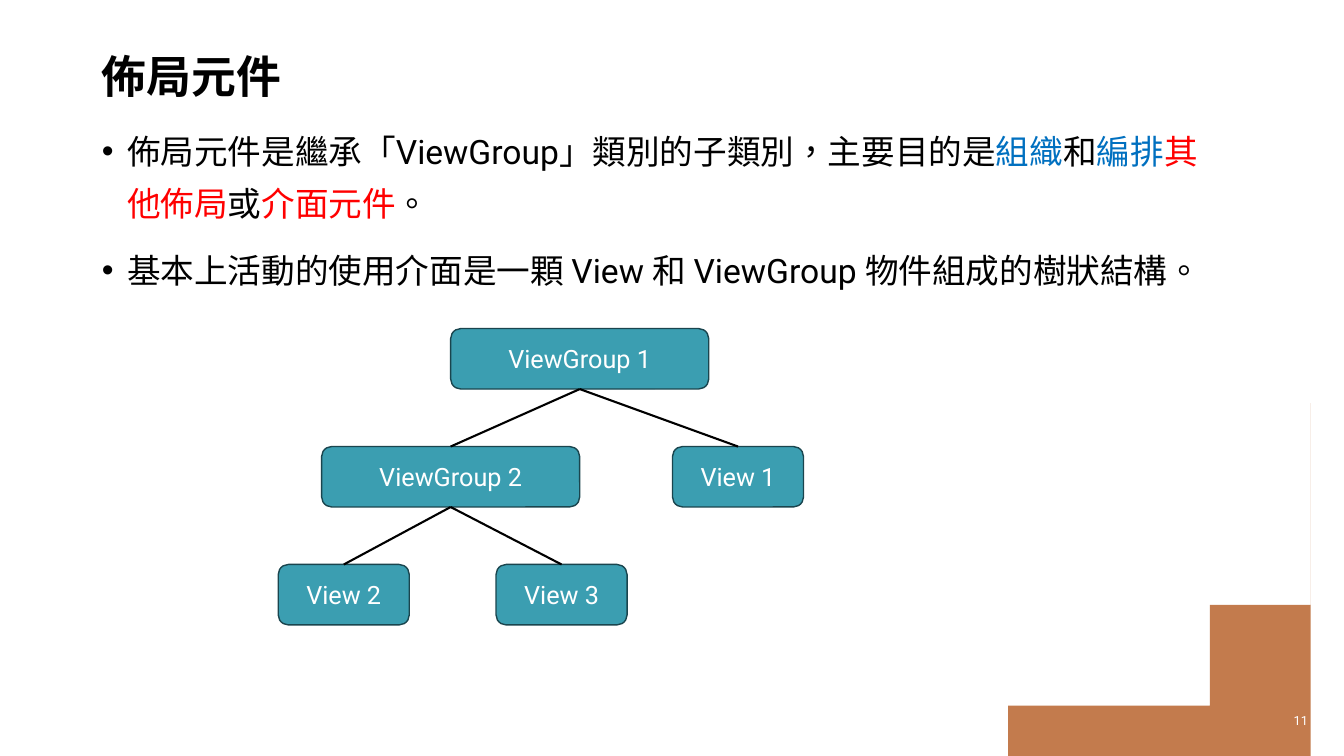
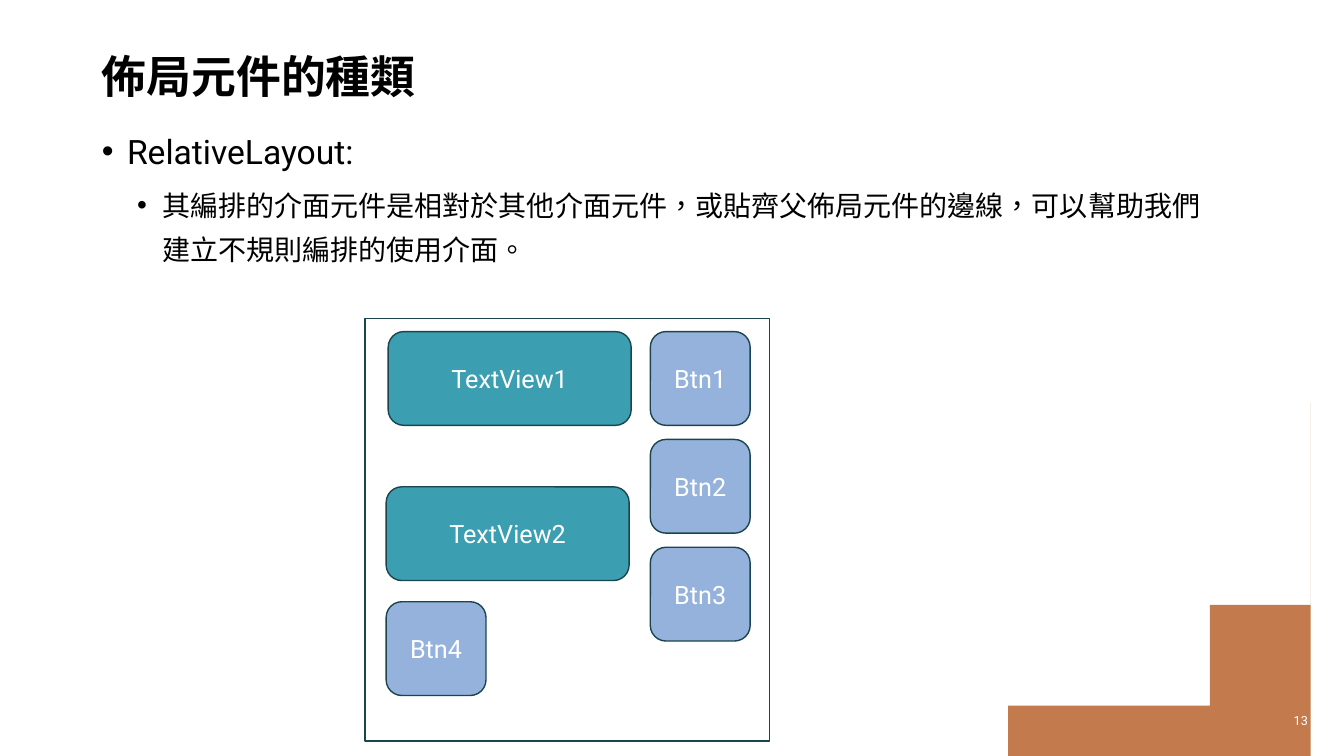
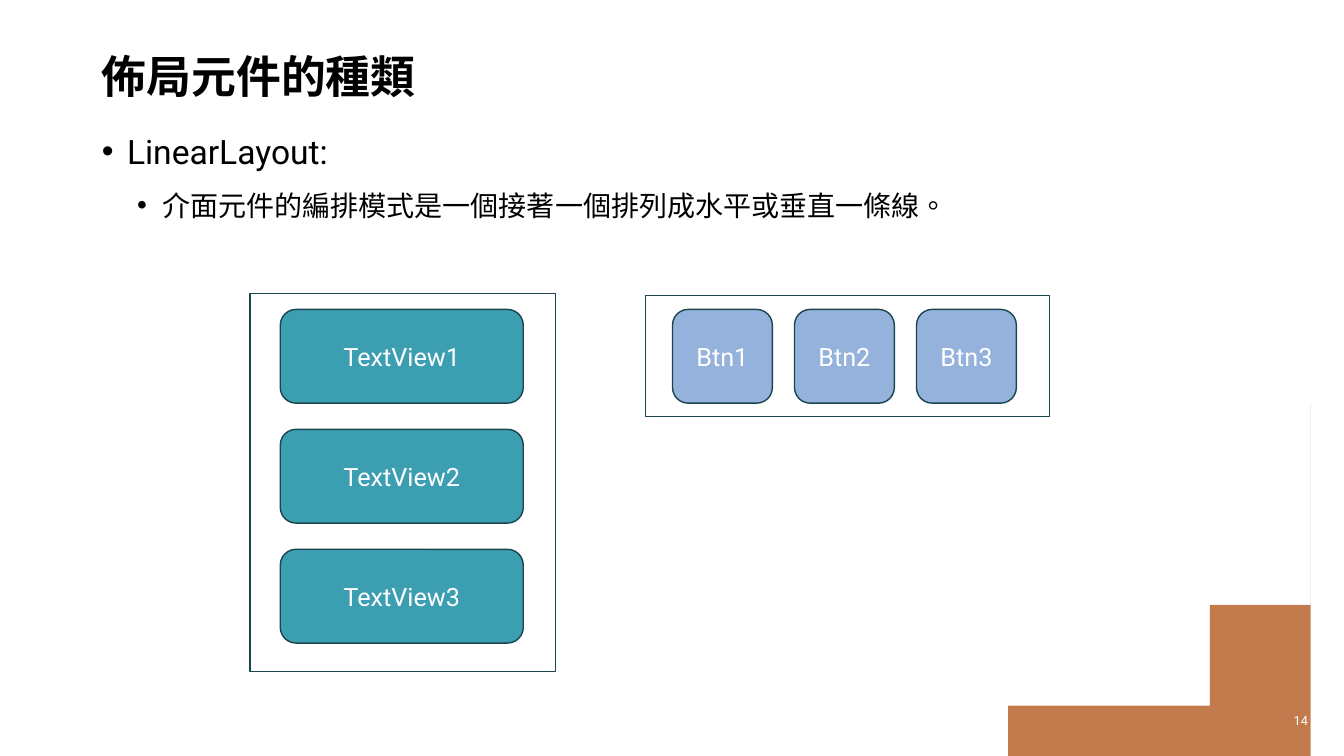
"""Build three slides on layout components."""
import pptx
import pptx.util
import pptx.dml.color
import pptx.enum.shapes
import pptx.enum.text
import pptx.enum.lang
import pptx.oxml.ns
import lxml.etree

WIDE, HIGH = 13.33, 7.5
FONT = "Roboto"
BLACK, WHITE, BLUE, RED = "000000", "FFFFFF", "0070C0", "FF0000"
TEAL, PALE, EDGE, CLAY = "3B9EB1", "94B2DB", "1A454E", "C37B4D"
CURVE = [(9.71, 7.5), (11.67, 7.41), (13.23, 5.87), (13.33, 3.96)]
LEVELS = [
    {"size": 24, "left": 0.25, "before": 10},
    {"size": 20, "left": 0.6, "before": 5},
]
VIEW, BTN, GROUP, LEAF = (2.41, 0.93), (0.99, 0.93), (2.56, 0.6), (1.3, 0.6)

TREE = [
    ("ViewGroup 1", GROUP, 5.75, 0, None),
    ("ViewGroup 2", GROUP, 4.47, 1, 0),
    ("View 1", LEAF, 7.32, 1, 0),
    ("View 2", LEAF, 3.41, 2, 1),
    ("View 3", LEAF, 5.57, 2, 1),
]
TREE_TOP, TREE_STEP = 3.26, 1.17

SLIDES = [
    {
        "title": "佈局元件",
        "number": "11",
        "body": [
            (0, [("佈局元件是繼承「ViewGroup」類別的子類別，主要目的是", BLACK),
                 ("組織", BLUE), ("和", BLACK), ("編排", BLUE),
                 ("其他佈局", RED), ("或", BLACK), ("介面元件", RED),
                 ("。", BLACK)]),
            (0, [("基本上活動的使用介面是一顆 View 和 ViewGroup 物件組成的樹狀結構。", BLACK)]),
        ],
        "tree": TREE,
    },
    {
        "title": "佈局元件的種類",
        "number": "13",
        "body": [
            (0, [("RelativeLayout:", BLACK)]),
            (1, [("其編排的介面元件是相對於其他介面元件，或貼齊父佈局元件的邊線，可以幫助我們建立不規則編排的使用介面。", BLACK)]),
        ],
        "frames": [(3.62, 3.16, 4.01, 4.19)],
        "stacks": [
            (["TextView1"], VIEW, TEAL, (3.85, 3.29), (0, 0)),
            (["Btn1", "Btn2", "Btn3"], BTN, PALE, (6.45, 3.29), (0, 1.07)),
            (["Btn4"], BTN, PALE, (3.83, 5.97), (0, 0)),
            (["TextView2"], VIEW, TEAL, (3.83, 4.83), (0, 0)),
        ],
    },
    {
        "title": "佈局元件的種類",
        "number": "14",
        "body": [
            (0, [("LinearLayout:", BLACK)]),
            (1, [("介面元件的編排模式是一個接著一個排列成水平或垂直一條線。", BLACK)]),
        ],
        "frames": [(2.48, 2.91, 3.03, 3.75), (6.4, 2.93, 4.01, 1.2)],
        "stacks": [
            (["TextView1", "TextView2", "TextView3"], VIEW, TEAL, (2.78, 3.07), (0, 1.19)),
            (["Btn1", "Btn2", "Btn3"], BTN, PALE, (6.67, 3.07), (1.21, 0)),
        ],
    },
]

inch, pt = pptx.util.Inches, pptx.util.Pt
KIND = pptx.enum.shapes.MSO_SHAPE
ALIGN = pptx.enum.text.PP_ALIGN
ANCHOR = pptx.enum.text.MSO_ANCHOR


def shade(code):
    return pptx.dml.color.RGBColor.from_string(code)


def assign(thing, values):
    for name, value in values.items():
        setattr(thing, name, value)


def place(shape, *box):
    assign(shape, dict(zip(("left", "top", "width", "height"), map(inch, box))))


def write(par, text, size, color, bold=False):
    run = par.add_run()
    run.text = text
    assign(run.font, {"size": pt(size), "name": FONT, "bold": bold,
                      "language_id": pptx.enum.lang.MSO_LANGUAGE_ID.TRADITIONAL_CHINESE})
    run.font.color.rgb = shade(color)


def paint(shape, fill, edge=None):
    shape.shadow.inherit = False
    if fill:
        shape.fill.solid()
        shape.fill.fore_color.rgb = shade(fill)
    else:
        shape.fill.background()
    if edge:
        shape.line.color.rgb = shade(edge)
        shape.line.width = pt(1)
    else:
        shape.line.fill.background()


def corner(slide):
    arc = []
    for step in range(61):
        t = step / 60
        parts = ((1 - t) ** 3, 3 * t * (1 - t) ** 2, 3 * t * t * (1 - t), t ** 3)
        arc.append(tuple(sum(p * spot[axis] for p, spot in zip(parts, CURVE))
                         for axis in (0, 1)))
    pen = slide.shapes.build_freeform(WIDE, 3.78, scale=914400)
    pen.add_line_segments([(WIDE, HIGH), (9.63, HIGH)] + arc, close=True)
    paint(pen.convert_to_shape(), CLAY)


def head(slide, text):
    title = slide.shapes.title
    place(title, 0.91, 0.39, 11.32, 0.68)
    assign(title.text_frame, {"vertical_anchor": ANCHOR.BOTTOM,
                              "auto_size": pptx.enum.text.MSO_AUTO_SIZE.NONE})
    par = title.text_frame.paragraphs[0]
    assign(par, {"alignment": ALIGN.LEFT, "line_spacing": 1.1})
    write(par, text, 32, BLACK, True)


def fill_body(slide, items):
    body = slide.placeholders[1]
    place(body, 0.91, 1.13, 11.32, 5.24)
    frame = body.text_frame
    frame.auto_size = pptx.enum.text.MSO_AUTO_SIZE.NONE
    for index, (level, runs) in enumerate(items):
        par = frame.add_paragraph() if index else frame.paragraphs[0]
        style = LEVELS[level]
        assign(par, {"level": level, "line_spacing": 1.3,
                     "space_before": pt(style["before"]), "space_after": pt(0)})
        props = par._p.get_or_add_pPr()
        props.set("marL", str(inch(style["left"])))
        props.set("indent", str(inch(-0.25)))
        mark = lxml.etree.SubElement(props, pptx.oxml.ns.qn("a:buChar"))
        mark.set("char", "•")
        for text, color in runs:
            write(par, text, style["size"], color)


def page(slide, number):
    box = slide.shapes.add_textbox(*map(inch, (12.62, 6.95, 0.45, 0.4)))
    assign(box.text_frame, {"word_wrap": True, "vertical_anchor": ANCHOR.MIDDLE})
    par = box.text_frame.paragraphs[0]
    par.alignment = ALIGN.RIGHT
    write(par, number, 9, WHITE)


def block(slide, text, left, top, size, fill):
    shape = slide.shapes.add_shape(KIND.ROUNDED_RECTANGLE,
                                   *map(inch, (left, top, *size)))
    paint(shape, fill, EDGE)
    shape.text_frame.vertical_anchor = ANCHOR.MIDDLE
    par = shape.text_frame.paragraphs[0]
    par.alignment = ALIGN.CENTER
    write(par, text, 18, WHITE)
    return shape


def link(slide, upper, lower):
    line = slide.shapes.add_connector(
        pptx.enum.shapes.MSO_CONNECTOR.STRAIGHT, 0, 0, 0, 0)
    line.begin_connect(upper, 2)
    line.end_connect(lower, 0)
    line.line.color.rgb = shade(BLACK)
    line.line.width = pt(1.5)
    lxml.etree.SubElement(line._element.spPr, pptx.oxml.ns.qn("a:effectLst"))


def grow(slide, tree):
    nodes = [block(slide, text, mid - size[0] / 2, TREE_TOP + row * TREE_STEP, size, TEAL)
             for text, size, mid, row, root in tree]
    for node, (*rest, root) in zip(nodes, tree):
        if root is not None:
            link(slide, nodes[root], node)


def main():
    deck = pptx.Presentation()
    assign(deck, {"slide_width": inch(WIDE), "slide_height": inch(HIGH)})
    for data in SLIDES:
        slide = deck.slides.add_slide(deck.slide_layouts[1])
        corner(slide)
        head(slide, data["title"])
        fill_body(slide, data["body"])
        page(slide, data["number"])
        for box in data.get("frames", []):
            paint(slide.shapes.add_shape(KIND.RECTANGLE, *map(inch, box)), None, EDGE)
        for names, size, fill, (left, top), (right, down) in data.get("stacks", []):
            for index, name in enumerate(names):
                block(slide, name, left + index * right, top + index * down, size, fill)
        grow(slide, data.get("tree", []))
    deck.save("out.pptx")


if __name__ == "__main__":
    main()
